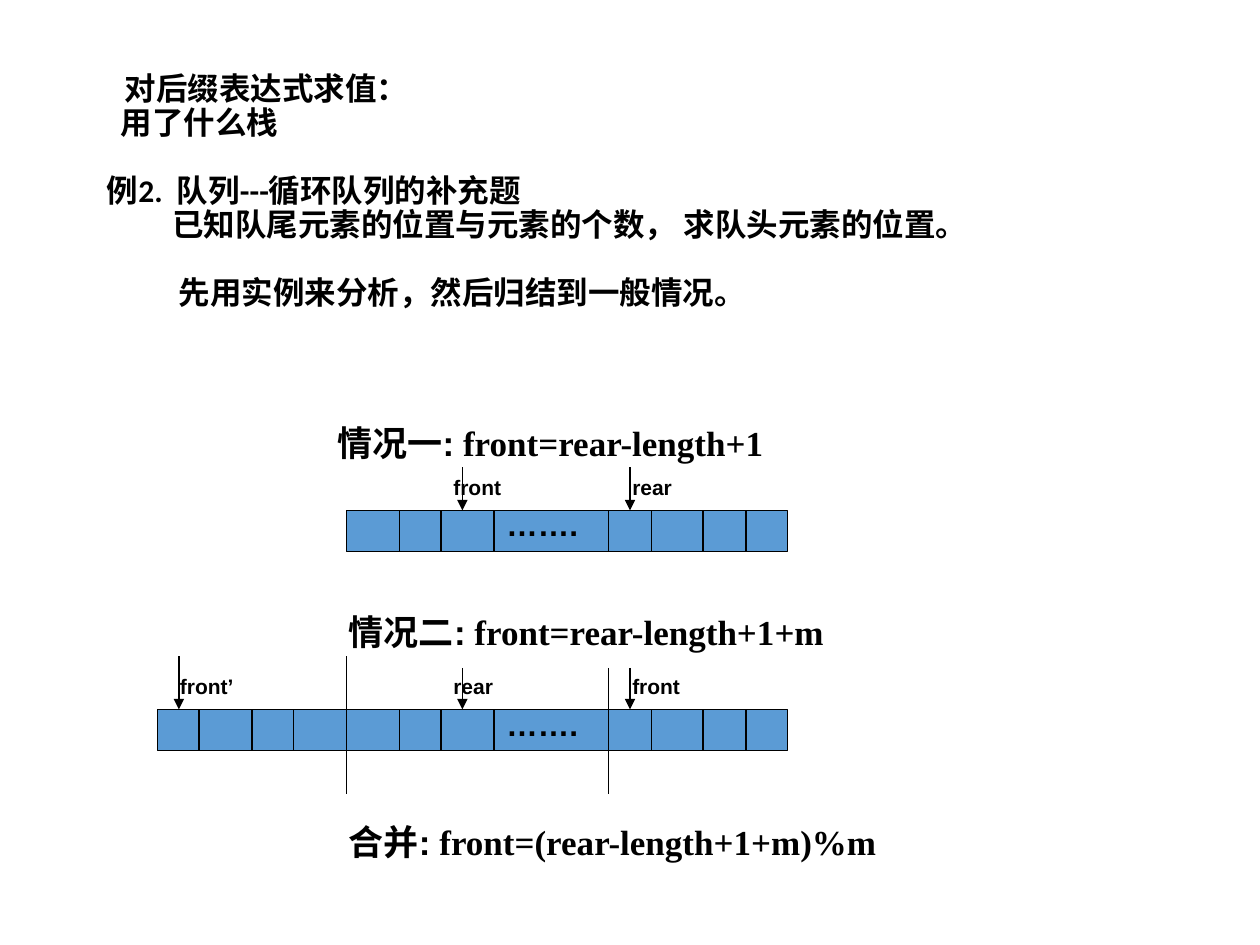
"""Build a slide on locating the head of a circular queue."""
from lxml.etree import SubElement
from pptx import Presentation
from pptx.dml.color import RGBColor
from pptx.enum.shapes import MSO_CONNECTOR, MSO_SHAPE
from pptx.oxml.ns import qn
from pptx.util import Inches, Pt

BLACK, BLUE = "000000", "5B9BD5"
CELL_HEIGHT = 0.33
LINE_PITCH = 19.6

INTRO = [
    ("对后缀表达式求值：", 0.14, 0),
    ("用了什么栈", 0.11, 0),
    ("例2.  队列---循环队列的补充题", 0, 1),
    ("已知队尾元素的位置与元素的个数， 求队头元素的位置。", 0.52, 0),
    ("先用实例来分析，然后归结到一般情况。", 0.57, 1),
]
FORMULAS = [
    ("情况一:", " front=rear-length+1", 2.58, 3.3),
    ("情况二:", " front=rear-length+1+m", 2.67, 4.8),
    ("合并:", " front=(rear-length+1+m)%m", 2.67, 6.46),
]
MAIN_EDGES = [2.75, 3.17, 3.5, 3.92, 4.83, 5.17, 5.58, 5.92, 6.25]
EXTRA_EDGES = [1.25, 1.58, 2, 2.33, 2.75]
QUEUES = [
    (MAIN_EDGES, 4.05),
    (MAIN_EDGES, 5.63),
    (EXTRA_EDGES, 5.63),
]
DOTS = [(3.92, 3.96), (3.92, 5.55)]
POINTERS = [
    ("front", 3.67, 3.5, 3.71, 4.05),
    ("rear", 5, 4.92, 3.71, 4.05),
    ("rear", 3.67, 3.5, 5.3, 5.63),
    ("front", 5, 4.92, 5.3, 5.63),
    ("front’", 1.42, 1.33, 5.21, 5.63),
]
BOUNDARIES = [(2.75, 5.21, 6.3), (4.83, 5.3, 6.3)]


def color(value):
    return RGBColor.from_string(value)


def add_span(para, text, font_name, size):
    span = para.add_run()
    span.text = text
    span.font.color.rgb = color(BLACK)
    for name, value in {"name": font_name, "size": Pt(size), "bold": True}.items():
        setattr(span.font, name, value)


def add_box(page, left, top, width, height):
    box = page.shapes.add_textbox(*map(Inches, (left, top, width, height)))
    box.text_frame.word_wrap = True
    return box.text_frame


def add_label(page, place, spans, size):
    para = add_box(page, *place).paragraphs[0]
    for text, font_name in spans:
        add_span(para, text, font_name, size)


def add_line(page, x, top, bottom, arrow=False):
    line = page.shapes.add_connector(
        MSO_CONNECTOR.STRAIGHT, *map(Inches, (x, top, x, bottom)))
    line.line.color.rgb = color(BLACK)
    line.line.width = Pt(0.75)
    if arrow:
        SubElement(line.line._get_or_add_ln(), qn("a:tailEnd"), type="triangle")
    SubElement(line._element.spPr, qn("a:effectLst"))


def add_queue(page, edges, top):
    bar = page.shapes.add_shape(
        MSO_SHAPE.RECTANGLE,
        *map(Inches, (edges[0], top, edges[-1] - edges[0], CELL_HEIGHT)))
    bar.shadow.inherit = False
    bar.fill.solid()
    bar.fill.fore_color.rgb = color(BLUE)
    bar.line.color.rgb = color(BLACK)
    bar.line.width = Pt(0.75)
    for x in edges[1:-1]:
        add_line(page, x, top, top + CELL_HEIGHT)


def add_intro(page):
    frame = add_box(page, 0.75, 0.44, 8.5, 2.76)
    frame.margin_top = Inches(0.14)
    for index, (text, indent, gap_lines) in enumerate(INTRO):
        para = frame.paragraphs[0] if index == 0 else frame.add_paragraph()
        para._p.get_or_add_pPr().set("marL", str(Inches(indent)))
        para.line_spacing = 0.9
        if gap_lines:
            para.space_before = Pt(gap_lines * LINE_PITCH)
        add_span(para, text, "Calibri", 18)


def main():
    deck = Presentation()
    deck.slide_width, deck.slide_height = Inches(10), Inches(7.5)
    page = deck.slides.add_slide(deck.slide_layouts[6])
    add_intro(page)
    for edges, top in QUEUES:
        add_queue(page, edges, top)
    for left, top in DOTS:
        add_label(page, (left, top, 0.92, 0.4), [("…….", "Arial")], 18)
    for x, top, bottom in BOUNDARIES:
        add_line(page, x, top, bottom)
    for text, x, left, top, bottom in POINTERS:
        add_line(page, x, top, bottom, arrow=True)
        add_label(page, (left, bottom - CELL_HEIGHT, 0.67, 0.3), [(text, "Arial")], 12)
    for heading, formula, left, top in FORMULAS:
        spans = [(heading, "Arial"), (formula, "Times New Roman")]
        add_label(page, (left, top, 4.91, 0.43), spans, 20)
    deck.save("out.pptx")


if __name__ == "__main__":
    main()
